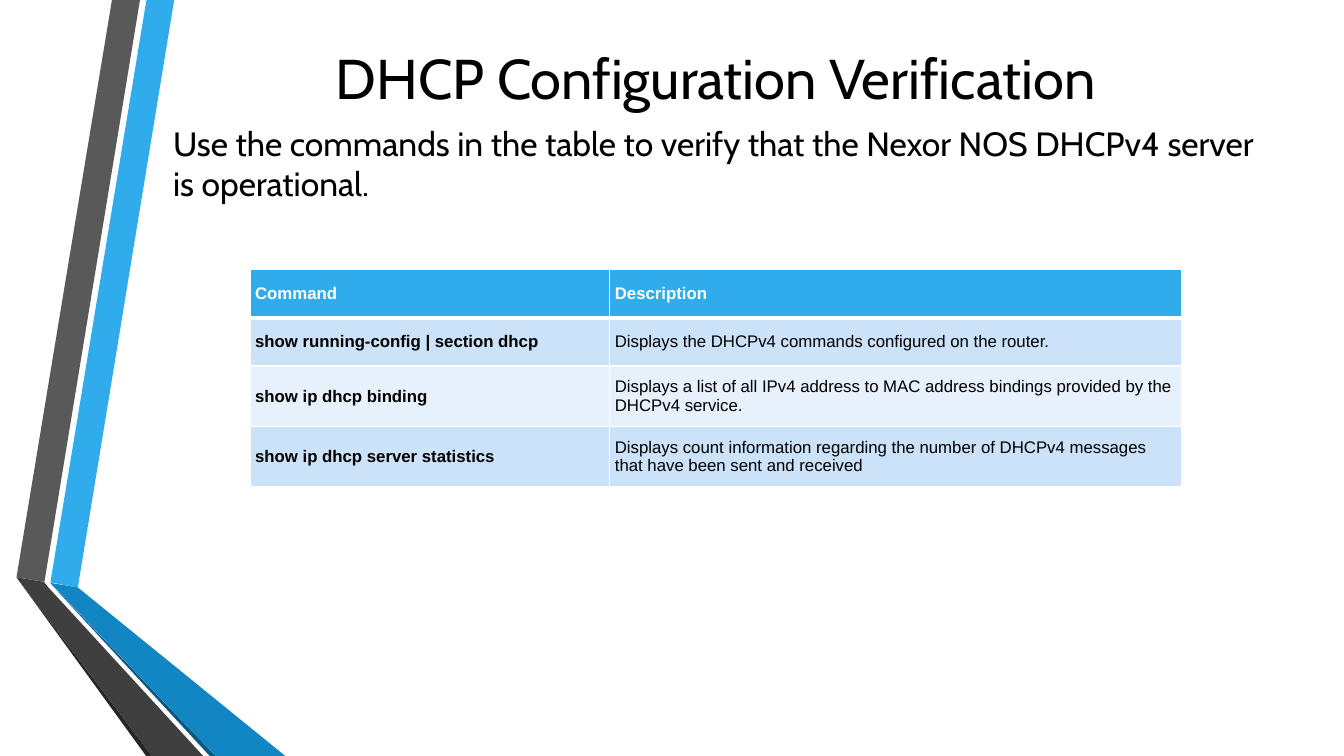
import pptx
import pptx.util
import pptx.dml.color
import pptx.enum.text
import pptx.oxml
import pptx.oxml.ns

Pt = pptx.util.Pt
RGBColor = pptx.dml.color.RGBColor
MIDDLE = pptx.enum.text.MSO_ANCHOR.MIDDLE

BLACK = RGBColor(0x00, 0x00, 0x00)
WHITE = RGBColor(0xFF, 0xFF, 0xFF)
SKY = RGBColor(0x30, 0xAC, 0xEC)
BLUE = RGBColor(0x11, 0x86, 0xC3)
NAVY = RGBColor(0x0B, 0x59, 0x82)
GRAY = RGBColor(0x59, 0x59, 0x59)
DARK_GRAY = RGBColor(0x3F, 0x3F, 0x3F)
CHARCOAL = RGBColor(0x26, 0x26, 0x26)
BAND_DARK = RGBColor(0xCC, 0xE2, 0xF8)
BAND_LIGHT = RGBColor(0xE7, 0xF1, 0xFB)

HEADING = "DHCP Configuration Verification"
INSTRUCTION = "Use the commands in the table to verify that the Nexor NOS DHCPv4 server is operational."
COMMANDS = [
    ("Command", "Description"),
    ("show running-config | section dhcp", "Displays the DHCPv4 commands configured on the router."),
    ("show ip dhcp binding",
     "Displays a list of all IPv4 address to MAC address bindings provided by the DHCPv4 service."),
    ("show ip dhcp server statistics",
     "Displays count information regarding the number of DHCPv4 messages that have been sent and received"),
]
COLUMN_WIDTHS = [257, 408.2]
ROW_HEIGHTS = [34.4, 34.4, 43.2, 43.2]
ROW_FILLS = [SKY, BAND_DARK, BAND_LIGHT, BAND_DARK]

RIBBONS = [
    (SKY, [(36, 416), (55.6, 419.6), (124.4, 0), (104.6, 0)]),
    (GRAY, [(100, 0), (80, 0), (11.8, 412.4), (31.8, 415.6)]),
    (CHARCOAL, [(11.8, 412.4), (104.4, 540), (108.6, 540)]),
    (NAVY, [(36, 416.8), (149.8, 540), (154, 540)]),
    (BLUE, [(36, 416.4), (154, 540), (203.8, 540), (55.6, 419.6)]),
    (DARK_GRAY, [(145.2, 540), (34.6, 419.6), (31.4, 415.6), (11.8, 412.4), (108.6, 540)]),
]


def draw_ribbon(slide, color, corners):
    points = [(Pt(x), Pt(y)) for x, y in corners]
    builder = slide.shapes.build_freeform(*points[0])
    builder.add_line_segments(points[1:], close=True)
    ribbon = builder.convert_to_shape()
    ribbon.shadow.inherit = False
    ribbon.fill.solid()
    ribbon.fill.fore_color.rgb = color
    ribbon.line.fill.background()


def style_paragraph(paragraph, face, size, color, bold=False):
    paragraph.font.name = face
    paragraph.font.size = Pt(size)
    paragraph.font.color.rgb = color
    paragraph.font.bold = bold


def set_borders(cell, widths):
    properties = cell._tc.get_or_add_tcPr()
    for position, (side, width) in enumerate(widths.items()):
        properties.insert(position, pptx.oxml.parse_xml(
            f'<a:ln{side} {pptx.oxml.ns.nsdecls("a")} w="{Pt(width)}">'
            f'<a:solidFill><a:srgbClr val="{WHITE}"/></a:solidFill></a:ln{side}>'))


def add_command_table(slide):
    frame = slide.shapes.add_table(len(COMMANDS), len(COLUMN_WIDTHS), Pt(178.6), Pt(192.6),
                                   Pt(sum(COLUMN_WIDTHS)), Pt(sum(ROW_HEIGHTS)))
    table = frame.table
    for column, width in zip(table.columns, COLUMN_WIDTHS):
        column.width = Pt(width)
    for r, entries in enumerate(COMMANDS):
        table.rows[r].height = Pt(ROW_HEIGHTS[r])
        for c, entry in enumerate(entries):
            cell = table.cell(r, c)
            cell.text = entry
            cell.vertical_anchor = MIDDLE
            cell.margin_left = cell.margin_right = Pt(3.6)
            cell.margin_top = cell.margin_bottom = Pt(3.6)
            cell.fill.solid()
            cell.fill.fore_color.rgb = ROW_FILLS[r]
            style_paragraph(cell.text_frame.paragraphs[0], "Arial", 12,
                            WHITE if r == 0 else BLACK, r == 0 or c == 0)
            set_borders(cell, {"L": 1, "R": 1, "T": 3 if r == 1 else 1, "B": 3 if r == 0 else 1})


def main():
    deck = pptx.Presentation()
    deck.slide_width, deck.slide_height = Pt(960), Pt(540)
    slide = deck.slides.add_slide(deck.slide_layouts[5])

    for color, corners in RIBBONS:
        draw_ribbon(slide, color, corners)

    title = slide.shapes.title
    title.left, title.top, title.width, title.height = Pt(116.6), Pt(26), Pt(789), Pt(58.4)
    title.text_frame.text = HEADING
    title.text_frame.vertical_anchor = MIDDLE
    heading = title.text_frame.paragraphs[0]
    heading.alignment = pptx.enum.text.PP_ALIGN.CENTER
    style_paragraph(heading, "Cabin", 40, BLACK)

    instruction = slide.shapes.add_textbox(Pt(116.6), Pt(84.4), Pt(789), Pt(412))
    instruction.text_frame.word_wrap = True
    instruction.text_frame.text = INSTRUCTION
    style_paragraph(instruction.text_frame.paragraphs[0], "Cabin", 24, BLACK)

    add_command_table(slide)
    deck.save("out.pptx")


if __name__ == "__main__":
    main()
